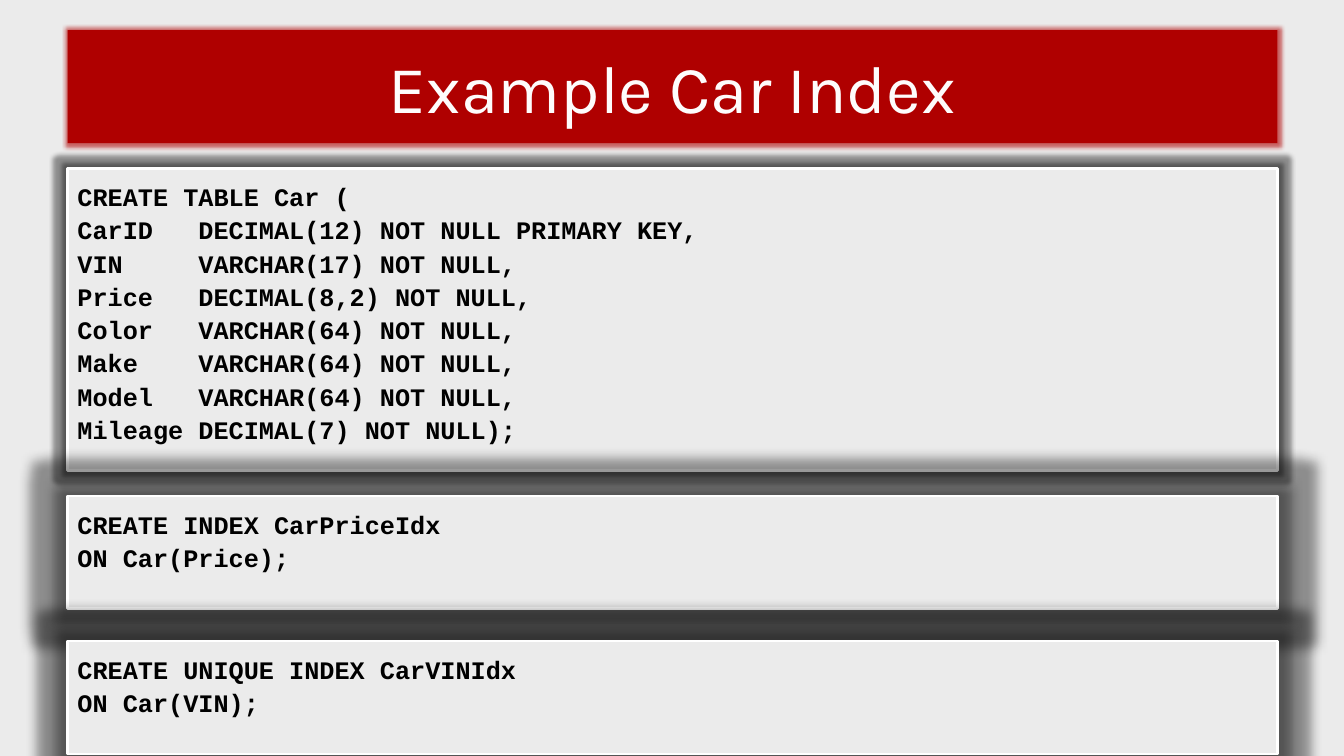
"""Build the slide with the car table and its two index statements."""
from lxml import etree
from pptx import Presentation
from pptx.dml.color import RGBColor
from pptx.enum.shapes import MSO_SHAPE
from pptx.enum.text import MSO_ANCHOR, MSO_AUTO_SIZE, PP_ALIGN
from pptx.oxml.ns import qn
from pptx.util import Inches, Pt

RECTANGLE = MSO_SHAPE.RECTANGLE
TOP, MIDDLE = MSO_ANCHOR.TOP, MSO_ANCHOR.MIDDLE
LEFT, CENTER = PP_ALIGN.LEFT, PP_ALIGN.CENTER
NO_AUTOFIT = MSO_AUTO_SIZE.NONE

HEADING = "Example Car Index"
CREATE_TABLE = """CREATE TABLE Car (
CarID   DECIMAL(12) NOT NULL PRIMARY KEY,
VIN     VARCHAR(17) NOT NULL,
Price   DECIMAL(8,2) NOT NULL,
Color   VARCHAR(64) NOT NULL,
Make    VARCHAR(64) NOT NULL,
Model   VARCHAR(64) NOT NULL,
Mileage DECIMAL(7) NOT NULL);"""
PRICE_INDEX = """CREATE INDEX CarPriceIdx
ON Car(Price);"""
VIN_INDEX = """CREATE UNIQUE INDEX CarVINIdx
ON Car(VIN);"""

# (code, top, height, glow radius)
STATEMENTS = [
    (CREATE_TABLE, 1.67, 3, 6),
    (PRICE_INDEX, 4.92, 1.12, 18),
    (VIN_INDEX, 6.36, 1.12, 16),
]
MARGIN, WIDTH = 0.67, 12
GRAY, RED, WHITE, BLACK = "EBEBEB", "AF0000", "FFFFFF", "000000"


def color(value):
    return RGBColor.from_string(value)


def fill(target, value):
    target.fill.solid()
    target.fill.fore_color.rgb = color(value)


def add_glow(shape, value, radius, opacity):
    shape.shadow.inherit = False
    effects = shape._element.spPr.find(qn("a:effectLst"))
    glow = etree.SubElement(effects, qn("a:glow"), rad=str(Pt(radius)))
    tint = etree.SubElement(glow, qn("a:srgbClr"), val=value)
    etree.SubElement(tint, qn("a:alpha"), val=str(opacity * 1000))


def add_heading(slide):
    heading = slide.shapes.title
    heading.left, heading.top = Inches(MARGIN), Inches(0.3)
    heading.width, heading.height = Inches(WIDTH), Inches(1.12)
    fill(heading, RED)
    add_glow(heading, RED, 6, 60)
    frame = heading.text_frame
    frame.text = HEADING
    frame.word_wrap = False
    frame.auto_size = NO_AUTOFIT
    frame.vertical_anchor = MIDDLE
    line = frame.paragraphs[0]
    line.alignment = CENTER
    line.font.name, line.font.size = "Karla", Pt(48)
    line.font.color.rgb = color("FEFCFC")


def add_statement(slide, code, top, height, glow_radius):
    panel = slide.shapes.add_shape(
        RECTANGLE, Inches(MARGIN), Inches(top), Inches(WIDTH), Inches(height))
    fill(panel, GRAY)
    panel.line.color.rgb = color(WHITE)
    panel.line.width = Pt(2)
    add_glow(panel, BLACK, glow_radius, 40)
    frame = panel.text_frame
    frame.text = code
    frame.word_wrap = True
    frame.vertical_anchor = TOP
    frame.margin_left = frame.margin_right = Inches(0.1)
    frame.margin_top = frame.margin_bottom = Inches(0.1)
    for line in frame.paragraphs:
        line.alignment = LEFT
        line.line_spacing = 1.1
        line.font.name, line.font.size = "Courier New", Pt(18)
        line.font.bold = True
        line.font.color.rgb = color(BLACK)


def main():
    deck = Presentation()
    deck.slide_width, deck.slide_height = Inches(13.33), Inches(7.5)
    slide = deck.slides.add_slide(deck.slide_layouts[5])
    fill(slide.background, GRAY)
    add_heading(slide)
    for statement in STATEMENTS:
        add_statement(slide, *statement)
    deck.save("out.pptx")


if __name__ == "__main__":
    main()
